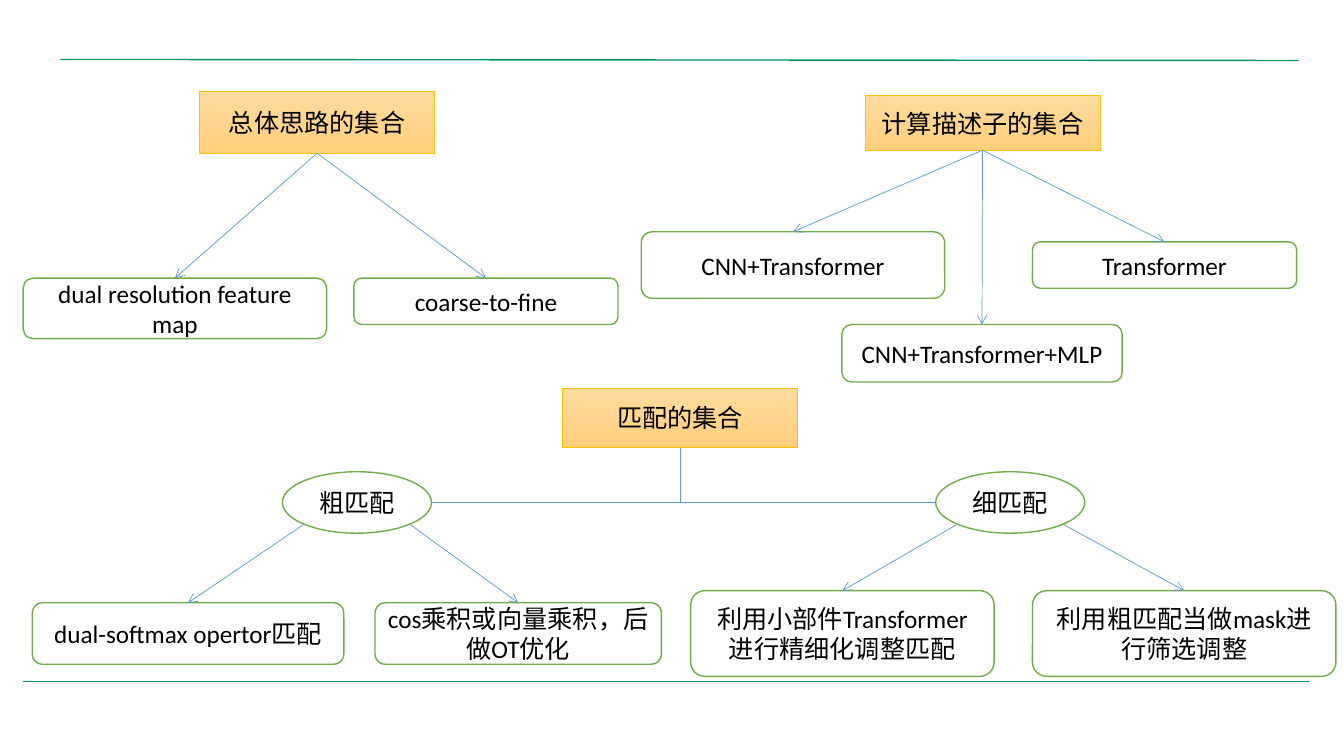
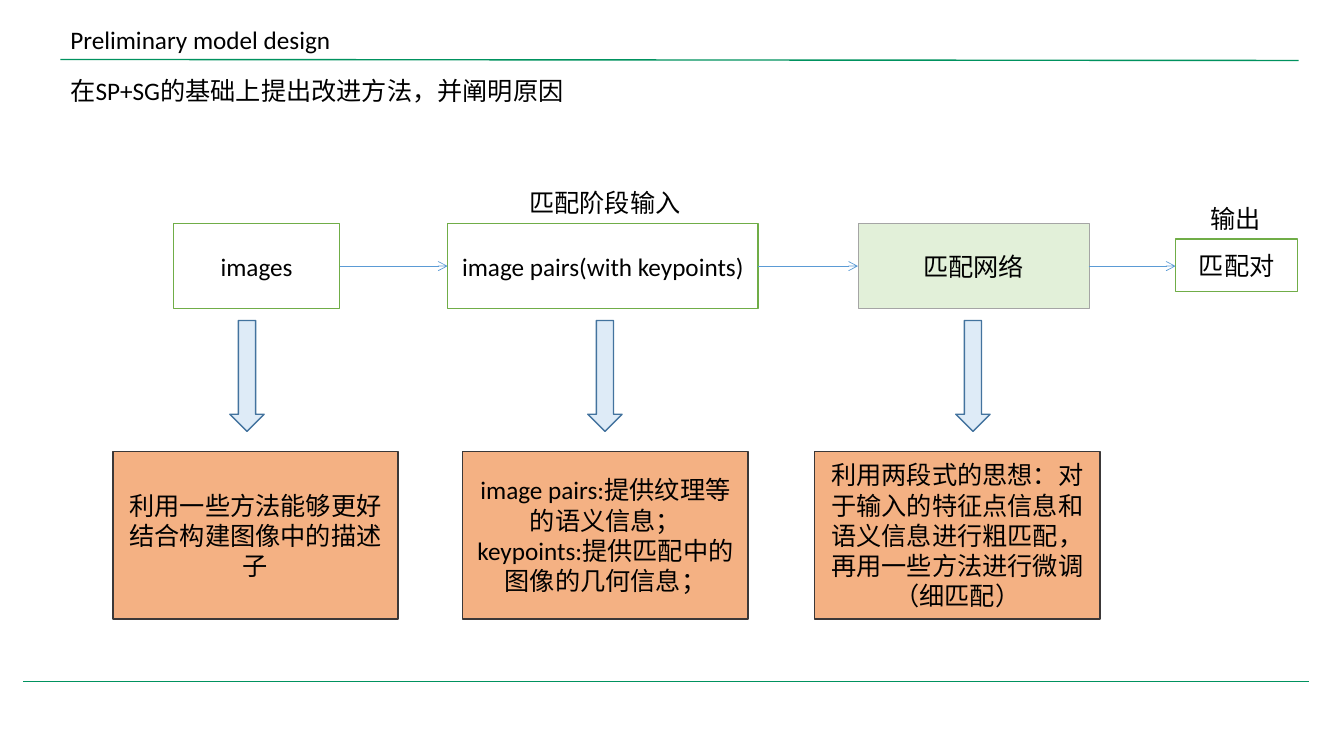
from dataclasses import dataclass
from itertools import pairwise
from math import sqrt

from lxml import etree
from pptx import Presentation
from pptx import util as u
from pptx.dml.color import RGBColor
from pptx.enum import lang, shapes, text
from pptx.oxml import ns

SLIDE_WIDTH, SLIDE_HEIGHT = u.Inches(13.33), u.Inches(7.5)
ROWS = 75
CELL = SLIDE_HEIGHT / ROWS
KIND = shapes.MSO_SHAPE


@dataclass(frozen=True)
class Theme:
    font: str = "Calibri"
    size: int = 18
    ink: str = "000000"
    rule: str = "00925F"
    connector: str = "5B9BD5"
    thin: float = 0.5
    line: float = 1


@dataclass(frozen=True)
class Style:
    fill: tuple
    line: str
    width: float = 1


THEME = Theme()
OUTLINED = Style(("FFFFFF",), "70AD47")
HEADING = Style(("FFDB9E", "FFD07C"), "FFC000", THEME.thin)
NETWORK = Style(("E2F0D9",), "A5A5A5", THEME.thin)
REASON = Style(("F4B183",), "3B3838")
BLOCK_ARROW = Style(("DEEBF7",), "43739E")


@dataclass(frozen=True)
class Box:
    left: float
    top: float
    width: float
    height: float

    def inside(self, left, top, width, height):
        return Box(self.left + left, self.top + top, width, height)

    def point(self, across, down):
        return self.left + self.width * across, self.top + self.height * down

    def emu(self):
        return [round(n * CELL) for n in (self.left, self.top, self.width, self.height)]


def colour(value):
    return RGBColor.from_string(value)


def write(shape, content, align=text.PP_ALIGN.CENTER, anchor=text.MSO_ANCHOR.MIDDLE):
    frame = shape.text_frame
    frame.word_wrap = True
    frame.vertical_anchor = anchor
    for index, line in enumerate(content.split("\n")):
        paragraph = frame.add_paragraph() if index else frame.paragraphs[0]
        paragraph.alignment = align
        run = paragraph.add_run()
        run.text = line
        run.font.name = THEME.font
        run.font.size = u.Pt(THEME.size)
        run.font.color.rgb = colour(THEME.ink)
        run.font.language_id = lang.MSO_LANGUAGE_ID.SIMPLIFIED_CHINESE


def add_label(slide, box, content, align=text.PP_ALIGN.CENTER):
    shape = slide.shapes.add_textbox(*box.emu())
    write(shape, content, align=align, anchor=text.MSO_ANCHOR.TOP)


def add_node(slide, box, content="", style=OUTLINED, kind=KIND.RECTANGLE):
    shape = slide.shapes.add_shape(kind, *box.emu())
    shape.shadow.inherit = False
    if len(style.fill) == 1:
        shape.fill.solid()
        shape.fill.fore_color.rgb = colour(style.fill[0])
    else:
        shape.fill.gradient()
        shape.fill.gradient_angle = 270
        for stop, value in zip(shape.fill.gradient_stops, style.fill):
            stop.color.rgb = colour(value)
    shape.line.color.rgb = colour(style.line)
    shape.line.width = u.Pt(style.width)
    if content:
        write(shape, content)


def add_line(slide, start, end, line=THEME.connector, width=THEME.thin, arrow=False):
    ends = [round(n * CELL) for n in (*start, *end)]
    connector = slide.shapes.add_connector(shapes.MSO_CONNECTOR.STRAIGHT, *ends)
    connector.line.color.rgb = colour(line)
    connector.line.width = u.Pt(width)
    if arrow:
        outline = connector.line._get_or_add_ln()
        etree.SubElement(outline, ns.qn("a:tailEnd"), type="arrow")
    etree.SubElement(connector._element.spPr, ns.qn("a:effectLst"))


def add_base_slide(presentation):
    slide = presentation.slides.add_slide(presentation.slide_layouts[6])
    for start, end in (((6, 5.9), (128.8, 6)), ((2.3, 67.6), (129.8, 67.6))):
        add_line(slide, start, end, line=THEME.rule, width=THEME.line)
    return slide


def add_leaf(slide, box, content, start):
    add_node(slide, box, content, kind=KIND.FLOWCHART_ALTERNATE_PROCESS)
    add_line(slide, start, box.point(0.5, 0), arrow=True)


def add_tree(slide, region, heading, place, leaves):
    root = region.inside(*place)
    add_node(slide, root, heading, style=HEADING)
    for content, leaf_place in leaves:
        add_leaf(slide, region.inside(*leaf_place), content, root.point(0.5, 1))


def add_matching_tree(slide, region, heading, place, branches):
    root = region.inside(*place)
    add_node(slide, root, heading, style=HEADING)
    near = (1 - sqrt(0.5)) / 2
    ovals = []
    for content, oval_place, leaves in branches:
        oval = region.inside(*oval_place)
        ovals.append(oval)
        add_node(slide, oval, content, kind=KIND.OVAL)
        for across, (leaf, leaf_place) in zip((near, 1 - near), leaves):
            add_leaf(slide, region.inside(*leaf_place), leaf, oval.point(across, 1 - near))
    coarse, fine = ovals
    start, end = coarse.point(1, 0.5), fine.point(0, 0.5)
    add_line(slide, start, end)
    stem = root.point(0.5, 1)
    add_line(slide, stem, (stem[0], start[1]))


def add_pipeline(slide, region, stages):
    boxes = []
    for content, place, style in stages:
        box = region.inside(*place)
        boxes.append(box)
        add_node(slide, box, content, style=style)
    middle = boxes[0].point(0, 0.5)[1]
    for source, target in pairwise(boxes):
        add_line(slide, (source.left + source.width, middle), (target.left, middle), arrow=True)


def add_reasons(slide, region, reasons):
    for content, left, arrow_left in reasons:
        add_node(slide, region.inside(arrow_left, 0, 3.4, 11),
                 style=BLOCK_ARROW, kind=KIND.DOWN_ARROW)
        add_node(slide, region.inside(left, 13, 28.3, 16.6), content, style=REASON)


def build_method_sets(presentation):
    slide = add_base_slide(presentation)
    add_tree(slide, Box(2.3, 9.1, 59, 24.5), "总体思路的集合", (17.5, 0, 23.3, 6.1), [
        ("dual resolution feature map", (0, 18.5, 30.1, 6)),
        ("coarse-to-fine", (32.8, 18.5, 26.2, 4.6)),
    ])
    add_tree(slide, Box(63.6, 9.5, 65, 28.4), "计算描述子的集合", (22.2, 0, 23.3, 5.4), [
        ("CNN+Transformer", (0, 13.5, 30.1, 6.6)),
        ("CNN+Transformer+MLP", (19.9, 22.7, 27.8, 5.7)),
        ("Transformer", (38.8, 14.5, 26.2, 4.6)),
    ])
    add_matching_tree(slide, Box(3.2, 38.5, 129.3, 28.6), "匹配的集合", (52.6, 0, 23.3, 5.9), [
        ("粗匹配", (24.8, 8.3, 14.8, 6.1), [
            ("dual-softmax opertor匹配", (0, 21.3, 30.9, 6.1)),
            ("cos乘积或向量乘积，后做OT优化", (34, 21.3, 28.4, 6.1)),
        ]),
        ("细匹配", (89.6, 8.3, 14.8, 6.1), [
            ("利用小部件Transformer进行精细化调整匹配", (65.3, 20.1, 30.1, 8.5)),
            ("利用粗匹配当做mask进行筛选调整", (99.2, 20.1, 30.1, 8.5)),
        ]),
    ])


def build_model_design(presentation):
    slide = add_base_slide(presentation)
    left = text.PP_ALIGN.LEFT
    add_label(slide, Box(6, 1.9, 51, 4), "Preliminary model design", align=left)
    add_label(slide, Box(6, 7, 65, 4), "在SP+SG的基础上提出改进方法，并阐明原因", align=left)
    add_label(slide, Box(50.5, 18.1, 19, 4), "匹配阶段输入")
    add_label(slide, Box(118, 19.7, 9.1, 4), "输出")
    add_pipeline(slide, Box(17.2, 22.2, 111.5, 8.4), [
        ("images", (0, 0, 16.5, 8.4), OUTLINED),
        ("image pairs(with keypoints)", (27.2, 0, 30.8, 8.4), OUTLINED),
        ("匹配网络", (67.9, 0, 22.9, 8.4), NETWORK),
        ("匹配对", (99.4, 1.5, 12.1, 5.2), OUTLINED),
    ])
    add_reasons(slide, Box(11.2, 31.8, 98, 29.6), [
        ("利用一些方法能够更好结合构建图像中的描述子", 0, 11.6),
        ("image pairs:提供纹理等的语义信息；\nkeypoints:提供匹配中的图像的几何信息；", 34.7, 47.1),
        ("利用两段式的思想：对于输入的特征点信息和语义信息进行粗匹配，再用一些方法进行微调（细匹配）",
         69.6, 83.6),
    ])


def main():
    presentation = Presentation()
    presentation.slide_width, presentation.slide_height = SLIDE_WIDTH, SLIDE_HEIGHT
    build_method_sets(presentation)
    build_model_design(presentation)
    presentation.save("out.pptx")


if __name__ == "__main__":
    main()
